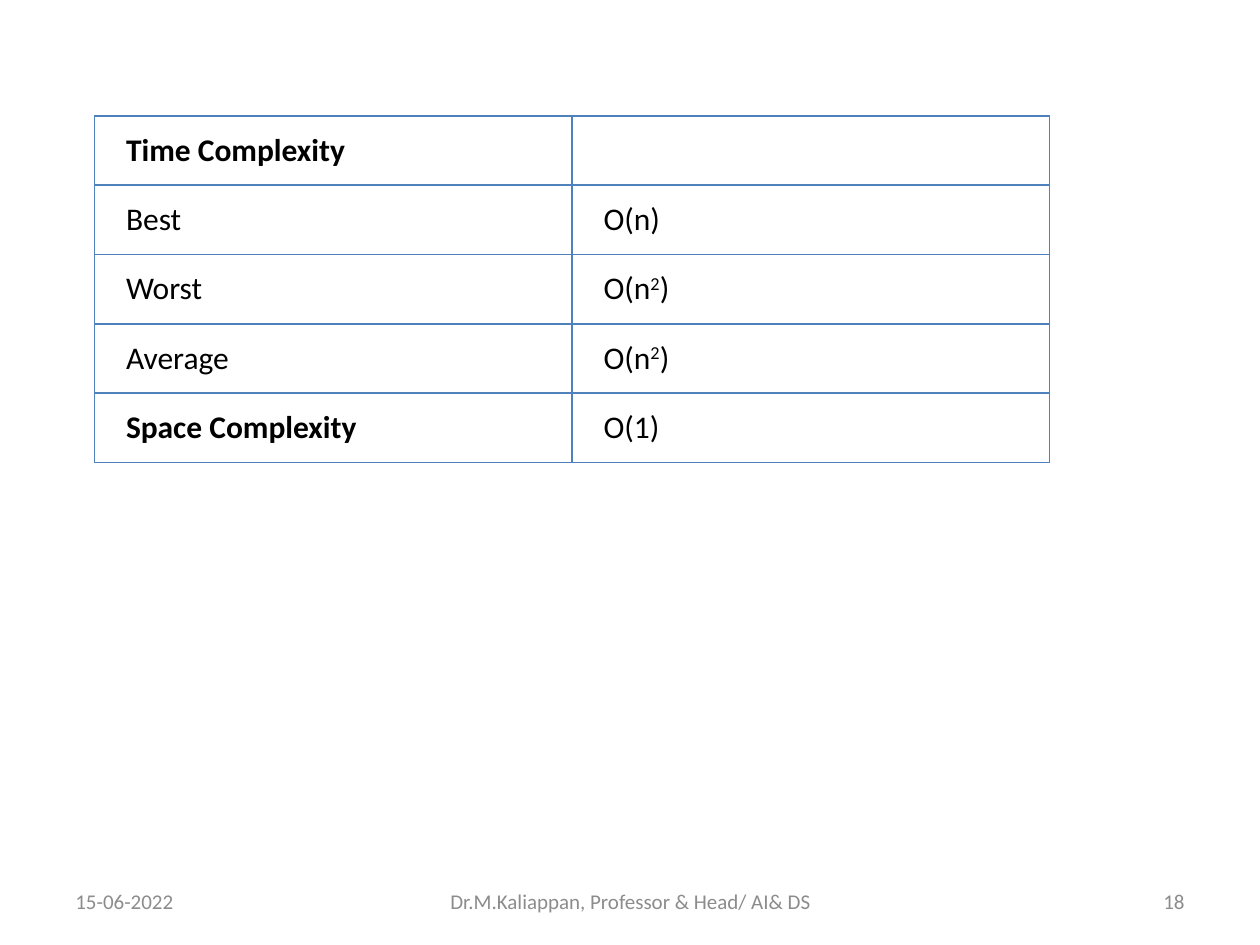
from lxml.etree import SubElement
from pptx import Presentation
from pptx.dml.color import RGBColor
from pptx.enum.text import MSO_ANCHOR, PP_ALIGN
from pptx.oxml.ns import qn
from pptx.util import Inches, Pt

FONT = "Calibri"
BLACK = RGBColor(0x00, 0x00, 0x00)
GREY = RGBColor(0x8C, 0x8C, 0x8C)
BORDER_BLUE = RGBColor(0x4F, 0x81, 0xBD)

# Each cell is a list of (text, is_superscript) pieces
QUADRATIC = [("O(n", False), ("2", True), (")", False)]
COMPLEXITY_ROWS = [
    ([("Time Complexity", False)], []),
    ([("Best", False)], [("O(n)", False)]),
    ([("Worst", False)], QUADRATIC),
    ([("Average", False)], QUADRATIC),
    ([("Space Complexity", False)], [("O(1)", False)]),
]
BOLD_LABELS = {"Time Complexity", "Space Complexity"}


def style_paragraph(para, size, color, bold=False):
    para.font.name = FONT
    para.font.size = Pt(size)
    para.font.color.rgb = color
    para.font.bold = bold


def add_borders(cell, color, width):
    cell_properties = cell._tc.get_or_add_tcPr()
    # Border lines must come before the fill, in this order
    for index, side in enumerate(("lnL", "lnR", "lnT", "lnB")):
        line = SubElement(cell_properties, qn(f"a:{side}"), w=str(Pt(width)))
        fill = SubElement(line, qn("a:solidFill"))
        SubElement(fill, qn("a:srgbClr"), val=str(color))
        cell_properties.insert(index, line)


def fill_cell(cell, pieces):
    cell.fill.background()
    cell.vertical_anchor = MSO_ANCHOR.MIDDLE
    cell.margin_left = cell.margin_right = Inches(0.25)
    cell.margin_top = cell.margin_bottom = Inches(0.12)
    para = cell.text_frame.paragraphs[0]
    for text, is_superscript in pieces:
        span = para.add_run()
        span.text = text
        if is_superscript:
            span._r.get_or_add_rPr().set("baseline", "30000")
    style_paragraph(para, 18, BLACK, para.text in BOLD_LABELS)
    add_borders(cell, BORDER_BLUE, 1)


def add_complexity_table(page, left, top, width, height):
    frame = page.shapes.add_table(len(COMPLEXITY_ROWS), 2, left, top, width, height)
    table = frame.table
    table.first_row = False
    table.horz_banding = False
    for row_index, row in enumerate(COMPLEXITY_ROWS):
        for column_index, pieces in enumerate(row):
            fill_cell(table.cell(row_index, column_index), pieces)


def add_footer(page, top, height):
    parts = [
        ("15-06-2022", 0.5, 2.33, PP_ALIGN.LEFT),
        ("Dr.M.Kaliappan, Professor & Head/ AI& DS", 3.42, 3.17, PP_ALIGN.CENTER),
        ("18", 7.17, 2.33, PP_ALIGN.RIGHT),
    ]
    for text, left, width, alignment in parts:
        box = page.shapes.add_textbox(Inches(left), top, Inches(width), height)
        box.text_frame.word_wrap = True
        box.text_frame.vertical_anchor = MSO_ANCHOR.MIDDLE
        para = box.text_frame.paragraphs[0]
        para.text = text
        para.alignment = alignment
        style_paragraph(para, 12, GREY)


def main():
    deck = Presentation()
    deck.slide_width = Inches(10)
    deck.slide_height = Inches(7.5)
    page = deck.slides.add_slide(deck.slide_layouts[6])

    # Date, author and page number
    add_footer(page, Inches(6.95), Inches(0.4))
    # Time and space complexity
    add_complexity_table(page, Inches(0.75), Inches(0.92), Inches(7.58), Inches(2.75))

    deck.save("out.pptx")


if __name__ == "__main__":
    main()
